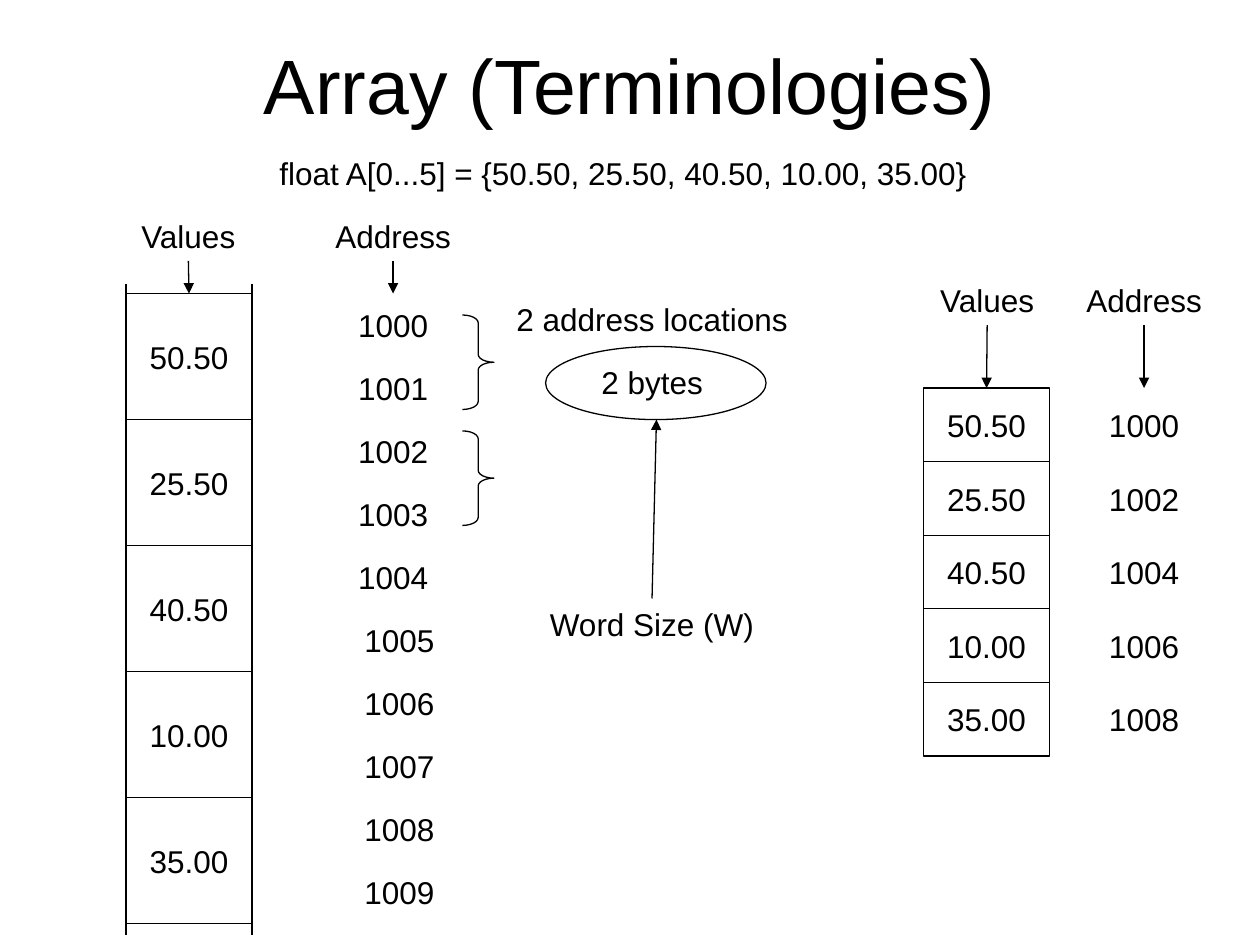
from lxml import etree
from pptx import Presentation
from pptx.dml.color import RGBColor
from pptx.enum import shapes, text
from pptx.oxml.ns import qn
from pptx.util import Inches, Pt

BLACK = "000000"
VALUES = ["50.50", "25.50", "40.50", "10.00", "35.00"]


def color(hex_value):
    return RGBColor.from_string(hex_value)


def inches(*lengths):
    return [Inches(n) for n in lengths]


def write(sp, words, size=18, font="Arial", fill=BLACK, wrap=False,
          anchor=text.MSO_ANCHOR.MIDDLE, align=text.PP_ALIGN.CENTER):
    tf = sp.text_frame
    tf.word_wrap = wrap
    tf.vertical_anchor = anchor
    p = tf.paragraphs[0]
    p.alignment = align
    r = p.add_run()
    r.text = words
    r.font.size = Pt(size)
    r.font.name = font
    r.font.color.rgb = color(fill)


def add_label(s, box, words):
    sp = s.shapes.add_textbox(*inches(*box))
    write(sp, words, anchor=text.MSO_ANCHOR.TOP)
    sp.text_frame.auto_size = text.MSO_AUTO_SIZE.SHAPE_TO_FIT_TEXT
    return sp


def add_outline(s, kind, box):
    sp = s.shapes.add_shape(kind, *inches(*box))
    sp.shadow.inherit = False
    sp.fill.background()
    sp.line.color.rgb = color(BLACK)
    sp.line.width = Pt(0.75)
    return sp


def add_line(s, start=(0, 0), end=(0, 0), arrow=False):
    line = s.shapes.add_connector(shapes.MSO_CONNECTOR.STRAIGHT, *inches(*start, *end))
    line.line.color.rgb = color(BLACK)
    line.line.width = Pt(0.75)
    if arrow:
        etree.SubElement(line.line._get_or_add_ln(), qn("a:tailEnd"), type="triangle")
    etree.SubElement(line._element.spPr, qn("a:effectLst"))
    return line


def add_column(s, box, items, bordered=False):
    """Stack the items as equal cells that fill the box."""
    left, top, width, height = box
    step = height / len(items)
    cells = []
    for i, item in enumerate(items):
        cell = (left, top + i * step, width, step)
        if bordered:
            sp = add_outline(s, shapes.MSO_SHAPE.RECTANGLE, cell)
        else:
            sp = s.shapes.add_textbox(*inches(*cell))
        write(sp, item)
        cells.append(sp)
    return cells


def add_heading(s, box, words, first_cell):
    heading = add_label(s, box, words)
    arrow = add_line(s, arrow=True)
    arrow.begin_connect(heading, 2)
    arrow.end_connect(first_cell, 0)


def add_title(s, box, words):
    title = s.shapes.title
    title.left, title.top, title.width, title.height = inches(*box)
    write(title, words, size=44, wrap=True)


def add_byte_memory(s, box):
    """Values beside the address of every byte."""
    left, top, width, height = box
    values = add_column(s, box, VALUES, bordered=True)
    addresses = [str(n) for n in range(1000, 1010)]
    half = height / 2
    first = add_column(s, (left + 1.62, top, 1, half), addresses[:5])
    add_column(s, (left + 1.67, top + half, 1, half), addresses[5:])
    add_heading(s, (left + 0.01, top - 0.66, 0.97, 0.4), "Values", values[0])
    add_heading(s, (left + 1.56, top - 0.66, 1.12, 0.4), "Address", first[0])
    # Side rails running past the cells
    for x in (left, left + width):
        add_line(s, (x, top - 0.08), (x, top + height + 0.09))


def add_word_size(s, box):
    """Braces over address pairs and the word size they give."""
    left, top, width, height = box
    for offset in (0.17, 1.09):
        brace = add_outline(s, shapes.MSO_SHAPE.RIGHT_BRACE,
                            (left, top + offset, 0.25, 0.75))
        brace.adjustments[0] = 0.25
    # Label a little wider than its words, so they stay on one line
    add_label(s, (left + 0.28, top, width - 0.28, 0.4), "2 address locations")
    add_label(s, (left + 1, top + 0.5, 1.01, 0.4), "2 bytes")
    add_outline(s, shapes.MSO_SHAPE.OVAL, (left + 0.66, top + 0.42, 1.75, 0.58))
    word = add_label(s, (left + 0.59, top + height - 0.4, 1.83, 0.4), "Word Size (W)")
    arrow = add_line(s, end=(left + 1.54, top + 1), arrow=True)
    arrow.begin_connect(word, 0)


def add_word_memory(s, box):
    """Values beside the address of every word."""
    left, top, width, height = box
    values = add_column(s, box, VALUES, bordered=True)
    addresses = add_column(s, (left + 1.25, top, 1, height),
                           [str(n) for n in range(1000, 1010, 2)])
    add_heading(s, (left + 0.02, top - 0.9, 0.97, 0.4), "Values", values[0])
    add_heading(s, (left + 1.19, top - 0.9, 1.12, 0.4), "Address", addresses[0])


def main():
    prs = Presentation()
    prs.slide_width, prs.slide_height = inches(10, 7.5)
    s = prs.slides.add_slide(prs.slide_layouts[5])
    add_title(s, (0.75, 0.25, 8.5, 0.83), "Array (Terminologies)")
    add_label(s, (2.11, 1.17, 5.67, 0.4),
              "float A[0...5] = {50.50, 25.50, 40.50, 10.00, 35.00}")
    add_byte_memory(s, (1, 2.33, 1, 5))
    add_word_size(s, (3.67, 2.33, 2.73, 2.82))
    add_word_memory(s, (7.33, 3.08, 1, 2.92))
    prs.save("out.pptx")


if __name__ == "__main__":
    main()
